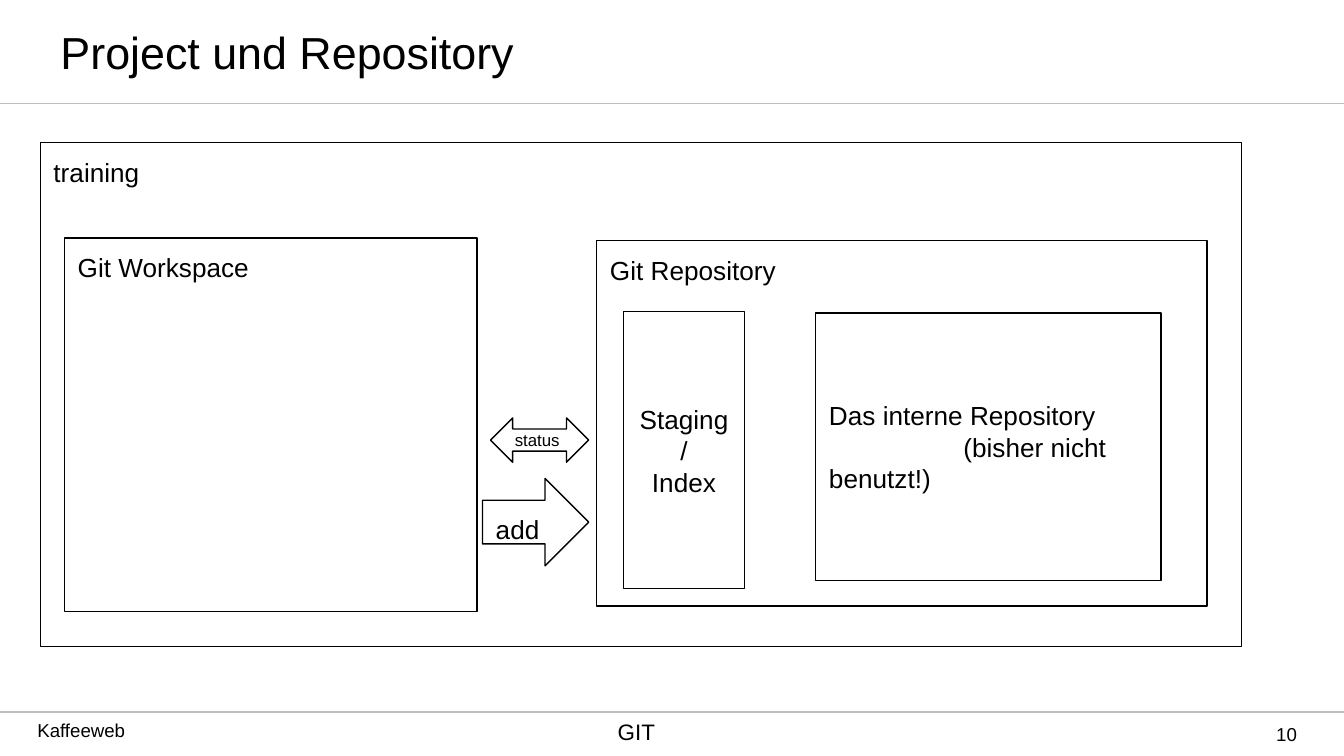
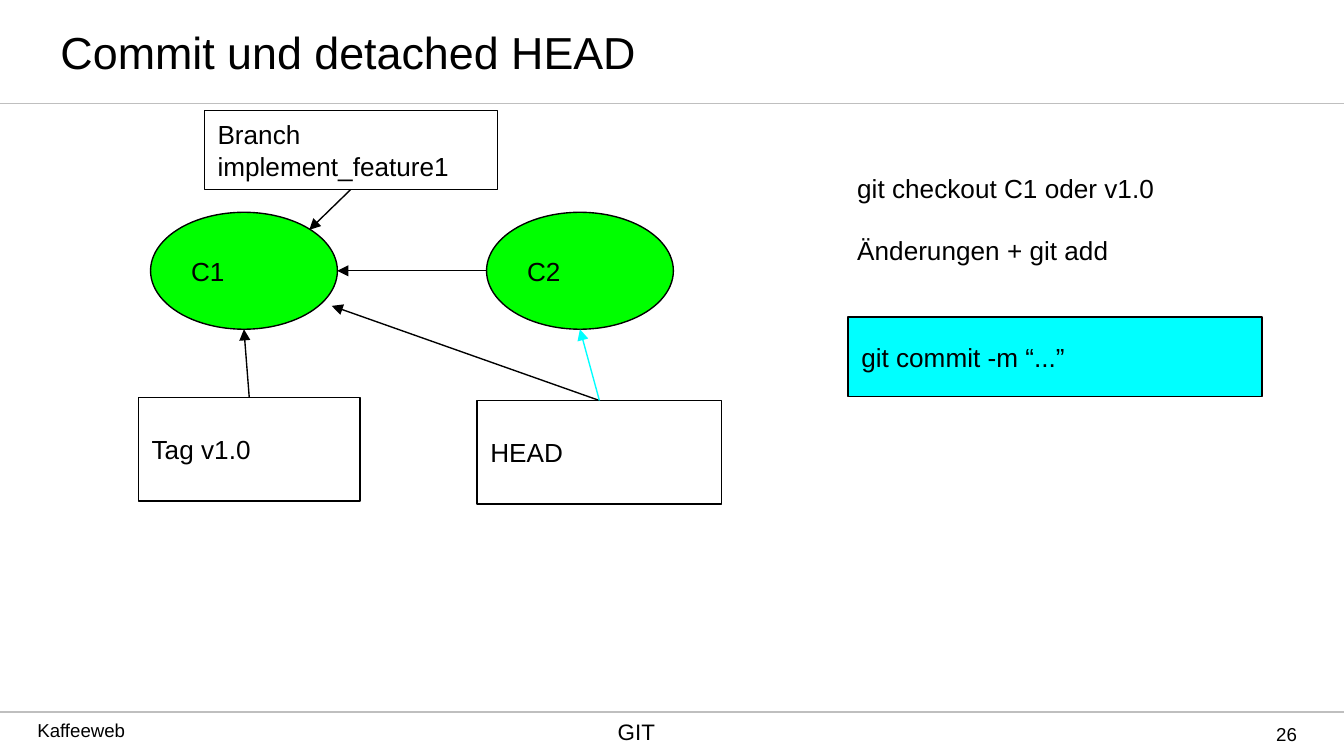
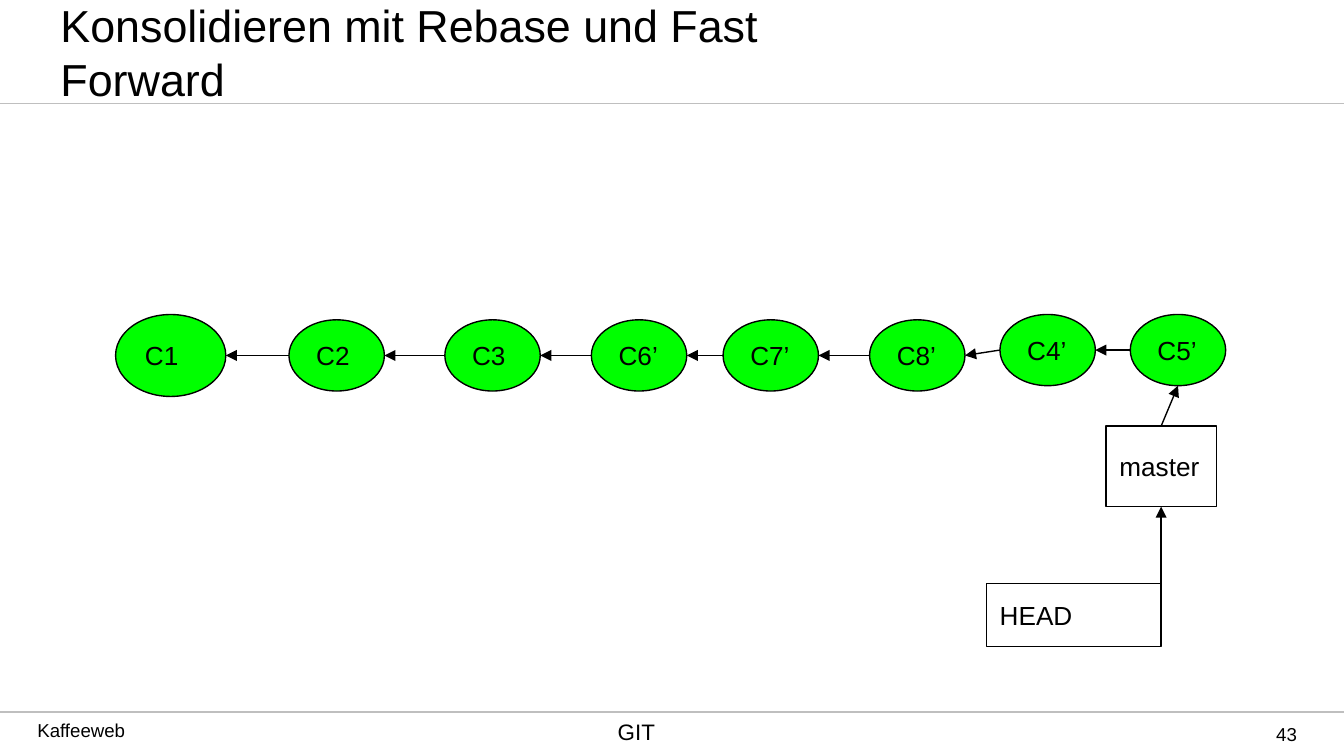
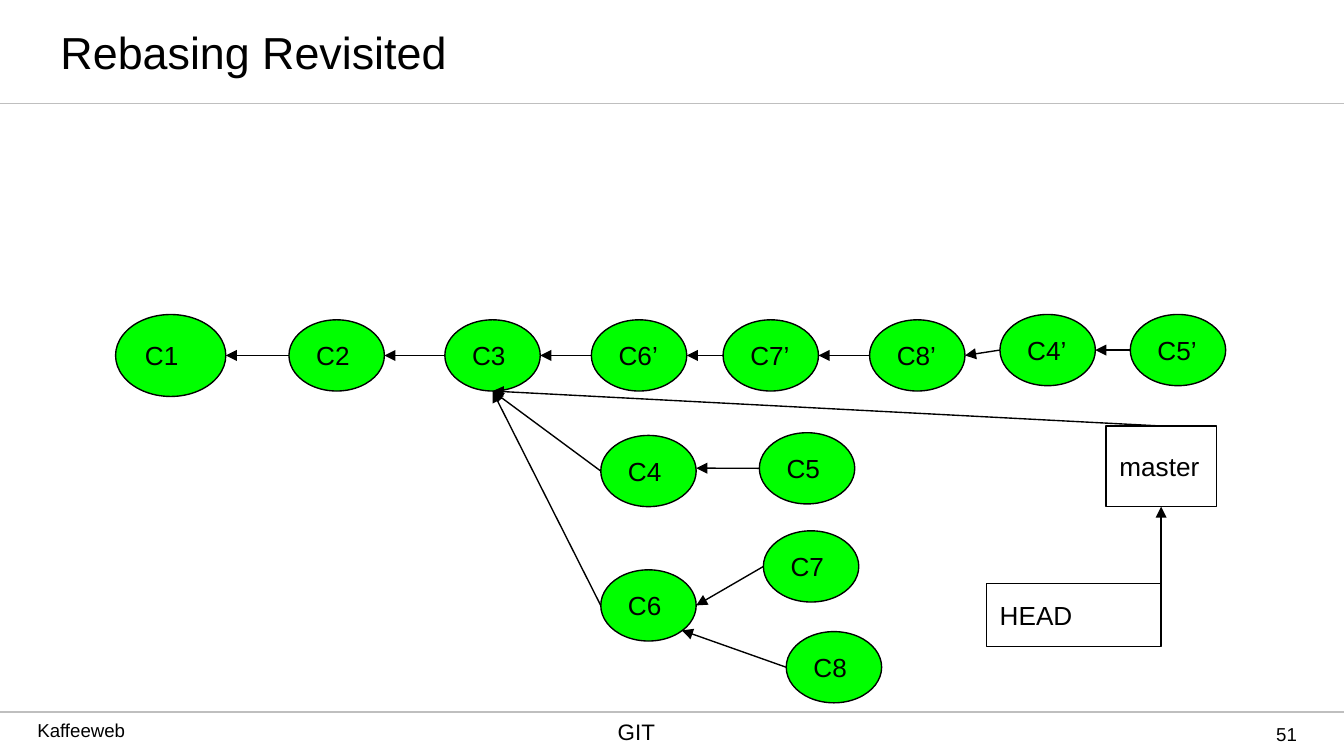
from dataclasses import dataclass

from lxml.etree import SubElement
from pptx import Presentation
from pptx.dml.color import RGBColor
from pptx.enum.shapes import MSO_CONNECTOR, MSO_SHAPE
from pptx.enum.text import MSO_ANCHOR, MSO_AUTO_SIZE, PP_ALIGN
from pptx.oxml.ns import qn
from pptx.util import Inches, Pt


@dataclass(frozen=True)
class Theme:
    font: str = "Arial"
    ink: str = "000000"
    paper: str = "FFFFFF"
    rule: str = "BFBFBF"
    commit: str = "00FF00"
    active: str = "00FFFF"
    title_size: float = 24
    body_size: float = 14
    footer_size: float = 12
    small_size: float = 10
    tiny_size: float = 9
    outline: float = 0.75
    rule_width: float = 1


@dataclass(frozen=True)
class Box:
    left: float
    top: float
    width: float
    height: float

    def inner(self, left, top, width, height):
        """Box placed relative to this one."""
        return Box(self.left + left, self.top + top, width, height)

    def at(self, across, down):
        """Point at a fraction of the width and height."""
        return self.left + across * self.width, self.top + down * self.height

    def inches(self):
        return [Inches(n) for n in (self.left, self.top, self.width, self.height)]


THEME = Theme()
PAGE = Box(0, 0, 10, 10 * 9 / 16)
DIAGRAM = Box(0.86, 2.34, 8.26, 2.89)

# Connection points as fractions of a box
TOP, LEFT, BOTTOM, RIGHT = (0.5, 0), (0, 0.5), (0.5, 1), (1, 0.5)
UPPER_RIGHT, LOWER_RIGHT = (0.85, 0.15), (0.85, 0.85)


# Text and drawing helpers

def write(frame, text, size=THEME.body_size, color=THEME.ink, align=PP_ALIGN.LEFT,
          anchor=MSO_ANCHOR.MIDDLE, insets=(0.1, 0.1), gap=0, last_indent=0):
    """Fill a text frame, one paragraph for each line of text."""
    frame.word_wrap = True
    frame.auto_size = MSO_AUTO_SIZE.NONE
    frame.vertical_anchor = anchor
    frame.margin_left = frame.margin_right = Inches(insets[0])
    frame.margin_top = frame.margin_bottom = Inches(insets[1])
    for index, line in enumerate(text.split("\n")):
        para = frame.add_paragraph() if index else frame.paragraphs[0]
        para.alignment = align
        para.space_before = Pt(gap if index else 0)
        span = para.add_run()
        span.text = line
        span.font.name = THEME.font
        span.font.size = Pt(size)
        span.font.color.rgb = RGBColor.from_string(color)
    if last_indent:
        para._p.get_or_add_pPr().set("indent", str(Inches(last_indent)))


def add_text(page, box, text, **style):
    label = page.shapes.add_textbox(*box.inches())
    write(label.text_frame, text, **style)
    return label


def add_node(page, box, text, kind=MSO_SHAPE.RECTANGLE, fill=THEME.paper, **style):
    """Outlined shape with text; returns its box for connecting."""
    node = page.shapes.add_shape(kind, *box.inches())
    node.shadow.inherit = False
    if fill:
        node.fill.solid()
        node.fill.fore_color.rgb = RGBColor.from_string(fill)
    else:
        node.fill.background()
    node.line.color.rgb = RGBColor.from_string(THEME.ink)
    node.line.width = Pt(THEME.outline)
    write(node.text_frame, text, **style)
    return box


def add_commit(page, box, text):
    return add_node(page, box, text, kind=MSO_SHAPE.OVAL, fill=THEME.commit)


def add_line(page, start, end, color=THEME.ink, width=THEME.outline, arrow=False):
    line = page.shapes.add_connector(
        MSO_CONNECTOR.STRAIGHT, *[Inches(n) for n in (*start, *end)])
    line.line.color.rgb = RGBColor.from_string(color)
    line.line.width = Pt(width)
    if arrow:
        SubElement(line.line._get_or_add_ln(), qn("a:tailEnd"), type="triangle")
    SubElement(line._element.spPr, qn("a:effectLst"))


def add_arrow(page, source, target, leave=LEFT, arrive=RIGHT, color=THEME.ink):
    add_line(page, source.at(*leave), target.at(*arrive), color=color, arrow=True)


# Frame shared by all slides

def add_page(deck, title, number):
    page = deck.slides.add_slide(deck.slide_layouts[5])
    for height in (5.3, 0.77):
        add_line(page, (0, height), (PAGE.width, height),
                 color=THEME.rule, width=THEME.rule_width)

    heading = page.shapes.title
    heading.left, heading.top, heading.width, heading.height = (
        PAGE.inner(0.35, 0, 6.22, 0.77).inches())
    write(heading.text_frame, title, size=THEME.title_size, insets=(0.1, 0.05))

    add_text(page, PAGE.inner(0.18, 5.35, 1.95, 0.22), "Kaffeeweb",
             size=THEME.small_size, anchor=MSO_ANCHOR.TOP, insets=(0.1, 0))
    add_text(page, PAGE.inner(3.17, 5.34, 3.13, 0.33), "GIT", size=THEME.footer_size,
             align=PP_ALIGN.CENTER, anchor=MSO_ANCHOR.TOP, insets=(0.1, 0))
    add_text(page, PAGE.inner(8.75, 5.3, 0.9, 0.33), str(number),
             size=THEME.small_size, align=PP_ALIGN.RIGHT, insets=(0, 0))
    return page


# Project folder with workspace and repository

def draw_project(page, box):
    add_node(page, box, "training", anchor=MSO_ANCHOR.TOP)
    add_node(page, box.inner(0.18, 0.71, 3.07, 2.78), "Git Workspace",
             anchor=MSO_ANCHOR.TOP)
    draw_repository(page, box.inner(4.14, 0.73, 4.54, 2.72))
    add_node(page, box.inner(3.35, 2.05, 0.73, 0.33), "status",
             kind=MSO_SHAPE.LEFT_RIGHT_ARROW, size=THEME.tiny_size)
    add_node(page, box.inner(3.29, 2.5, 0.79, 0.65), "add",
             kind=MSO_SHAPE.RIGHT_ARROW, anchor=MSO_ANCHOR.TOP)


def draw_repository(page, box):
    add_node(page, box, "Git Repository", anchor=MSO_ANCHOR.TOP)
    add_node(page, box.inner(0.2, 0.53, 0.9, 2.06), "Staging\n/\nIndex",
             align=PP_ALIGN.CENTER)
    add_node(page, box.inner(1.63, 0.54, 2.57, 1.99),
             "Das interne Repository\n(bisher nicht benutzt!)", last_indent=1)


# Detached HEAD: commit graph and commands

def draw_detached_head(page, box):
    first = add_commit(page, box.inner(0.09, 0.76, 1.39, 0.87), "C1")
    second = add_commit(page, box.inner(2.59, 0.76, 1.39, 0.87), "C2")
    tag = add_node(page, box.inner(0, 2.14, 1.65, 0.77), "Tag v1.0")
    branch = add_node(page, box.inner(0.49, 0, 2.18, 0.59),
                      "Branch implement_feature1")
    head = add_node(page, box.inner(2.52, 2.16, 1.82, 0.77), "HEAD")

    add_arrow(page, second, first)
    add_arrow(page, tag, first, leave=TOP, arrive=BOTTOM)
    add_arrow(page, branch, first, leave=BOTTOM, arrive=UPPER_RIGHT)
    add_arrow(page, head, first, leave=TOP, arrive=(0.97, 0.8))
    add_arrow(page, head, second, leave=TOP, arrive=BOTTOM, color=THEME.active)


def draw_commands(page, box):
    steps = add_text(page, box.inner(0, 0, 3.16, 0.91),
                     "git checkout C1 oder v1.0\nÄnderungen + git add",
                     anchor=MSO_ANCHOR.TOP, gap=16.5)
    steps.text_frame.auto_size = MSO_AUTO_SIZE.SHAPE_TO_FIT_TEXT
    add_node(page, box.inner(0.03, 1.18, 3.08, 0.59), "git commit -m “...”",
             fill=THEME.active)


# Rebased history

def small_commit(page, box, text, left, top):
    return add_commit(page, box.inner(left, top, 0.71, 0.53), text)


def draw_history(page, box):
    """Chain of commits, each pointing to the one before; returns them by name."""
    previous = add_commit(page, box.inner(0, 0, 0.82, 0.61), "C1")
    commits = {"C1": previous}
    for name, left, top in (("C2", 1.29, 0.04), ("C3", 2.45, 0.04),
                            ("C6’", 3.54, 0.04), ("C7’", 4.52, 0.04),
                            ("C8’", 5.61, 0.04), ("C4’", 6.58, 0),
                            ("C5’", 7.55, 0)):
        commits[name] = small_commit(page, box, name, left, top)
        add_arrow(page, commits[name], previous)
        previous = commits[name]
    return commits


def draw_master(page, box, target):
    """HEAD pointing to master, master pointing to the target commit."""
    master = add_node(page, box.inner(7.37, 0.83, 0.82, 0.6), "master", fill=None)
    head = add_node(page, box.inner(6.48, 2, 1.3, 0.47), "HEAD")
    add_arrow(page, master, target, leave=TOP, arrive=BOTTOM)
    add_arrow(page, head, master, leave=RIGHT, arrive=BOTTOM)


def draw_old_branches(page, box, base):
    commits = {name: small_commit(page, box, name, left, top)
               for name, left, top in (("C4", 3.61, 0.9), ("C5", 4.79, 0.88),
                                       ("C6", 3.61, 1.9), ("C7", 4.82, 1.61),
                                       ("C8", 4.99, 2.36))}
    add_arrow(page, commits["C5"], commits["C4"], arrive=(1, 0.46))
    add_arrow(page, commits["C7"], commits["C6"])
    add_arrow(page, commits["C8"], commits["C6"], arrive=LOWER_RIGHT)
    for name in ("C4", "C6"):
        add_arrow(page, commits[name], base, arrive=BOTTOM)


def main():
    deck = Presentation()
    deck.slide_width, deck.slide_height = Inches(PAGE.width), Inches(PAGE.height)

    page = add_page(deck, "Project und Repository", 10)
    draw_project(page, Box(0.3, 1.06, 8.94, 3.75))

    page = add_page(deck, "Commit und detached HEAD", 26)
    draw_detached_head(page, Box(1.03, 0.82, 4.34, 2.93))
    draw_commands(page, Box(6.28, 1.18, 3.16, 1.77))

    page = add_page(deck, "Konsolidieren mit Rebase und Fast Forward", 43)
    commits = draw_history(page, DIAGRAM)
    draw_master(page, DIAGRAM, commits["C5’"])

    page = add_page(deck, "Rebasing Revisited", 51)
    commits = draw_history(page, DIAGRAM)
    draw_master(page, DIAGRAM, commits["C3"])
    draw_old_branches(page, DIAGRAM, commits["C3"])

    deck.save("out.pptx")


if __name__ == "__main__":
    main()
